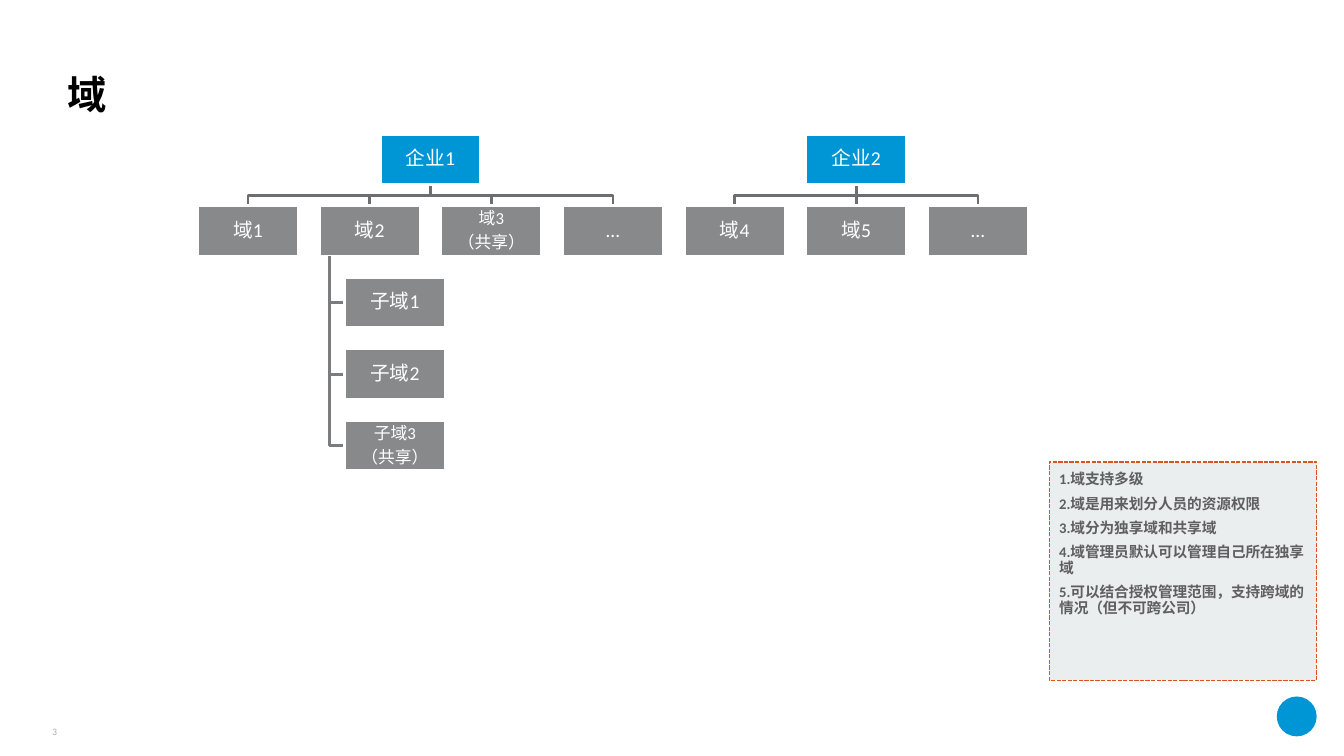
from dataclasses import dataclass, field

from pptx import Presentation
from pptx.dml.color import RGBColor
from pptx.enum.dml import MSO_LINE
from pptx.enum.shapes import MSO_SHAPE as Preset
from pptx.enum.text import MSO_ANCHOR as Anchor, PP_ALIGN as Align
from pptx.util import Pt

COLORS = {
    "blue": "0096D6", "gray": "87898B", "white": "FFFFFF", "black": "000000",
    "branch": "6C6E6F", "sub_branch": "7B7C7E", "note_fill": "EAEEEF",
    "note_line": "D9541E", "note_text": "5F5F5F", "page": "A8B2B2",
}
FONT = "Calibri"
BOX_W, BOX_H = 72, 36
COLUMN_LEFT, COLUMN_STEP = 141.2, 86.9
TOP, ROW_STEP = 96, 51.1
SUB_INDENT, TRUNK_INDENT = 18, 7.2


@dataclass
class Domain:
    lines: list[str]
    subdomains: list["Domain"] = field(default_factory=list)


@dataclass
class Enterprise:
    name: str
    domains: list[Domain]


@dataclass
class TextStyle:
    size: float
    color: str
    bold: bool = False
    align: Align = Align.LEFT
    spacing: float = 0.9
    before: float = 0
    after: float = 0


ENTERPRISES = [
    Enterprise("企业1", [
        Domain(["域1"]),
        Domain(["域2"], [Domain(["子域1"]), Domain(["子域2"]),
                        Domain(["子域3", "（共享）"])]),
        Domain(["域3", "（共享）"]),
        Domain(["…"]),
    ]),
    Enterprise("企业2", [Domain(["域4"]), Domain(["域5"]), Domain(["…"])]),
]
NOTES = [
    "1.域支持多级",
    "2.域是用来划分人员的资源权限",
    "3.域分为独享域和共享域",
    "4.域管理员默认可以管理自己所在独享域",
    "5.可以结合授权管理范围，支持跨域的情况（但不可跨公司）",
]


def rgb(name: str) -> RGBColor:
    return RGBColor.from_string(COLORS[name])


def write(shape, lines: list[str], style: TextStyle, anchor: Anchor,
          inset: float = 0, wrap: bool = True) -> None:
    frame = shape.text_frame
    frame.word_wrap = wrap
    frame.vertical_anchor = anchor
    frame.margin_left = frame.margin_right = Pt(inset)
    frame.margin_top = frame.margin_bottom = Pt(inset)
    frame.text = "\n".join(lines)
    for paragraph in frame.paragraphs:
        paragraph.alignment = style.align
        paragraph.line_spacing = style.spacing
        paragraph.space_before = Pt(style.before)
        paragraph.space_after = Pt(style.after)
        font = paragraph.font
        font.name, font.size, font.bold = FONT, Pt(style.size), style.bold
        font.color.rgb = rgb(style.color)


def add_filled(shapes, preset: Preset, left: float, top: float,
               width: float, height: float, fill: str):
    shape = shapes.add_shape(preset, Pt(left), Pt(top), Pt(width), Pt(height))
    shape.shadow.inherit = False
    shape.fill.solid()
    shape.fill.fore_color.rgb = rgb(fill)
    return shape


def add_box(shapes, left: float, top: float, lines: list[str], fill: str) -> None:
    box = add_filled(shapes, Preset.RECTANGLE, left, top, BOX_W, BOX_H, fill)
    box.line.color.rgb = rgb("white")
    box.line.width = Pt(2)
    size = 14 if len(lines) == 1 else 12
    style = TextStyle(size, "white", align=Align.CENTER, after=0.35 * size)
    write(box, lines, style, Anchor.MIDDLE, inset=0.7)


def add_branch(shapes, points: list[tuple[float, float]], color: str) -> None:
    start, *rest = [(Pt(x), Pt(y)) for x, y in points]
    builder = shapes.build_freeform(*start)
    builder.add_line_segments(rest, close=False)
    branch = builder.convert_to_shape()
    branch.shadow.inherit = False
    branch.fill.background()
    branch.line.color.rgb = rgb(color)
    branch.line.width = Pt(2)


def add_subdomains(shapes, parent: Domain, parent_left: float, parent_top: float) -> None:
    left, trunk = parent_left + SUB_INDENT, parent_left + TRUNK_INDENT
    for row, subdomain in enumerate(parent.subdomains, start=1):
        top = parent_top + row * ROW_STEP
        middle = top + BOX_H / 2
        add_branch(shapes, [(trunk, parent_top + BOX_H), (trunk, middle), (left, middle)],
                   "sub_branch")
        add_box(shapes, left, top, subdomain.lines, "gray")


def add_enterprise(shapes, enterprise: Enterprise, first_column: int) -> None:
    lefts = [COLUMN_LEFT + (first_column + i) * COLUMN_STEP
             for i in range(len(enterprise.domains))]
    root_left = (lefts[0] + lefts[-1]) / 2
    root_center, root_bottom = root_left + BOX_W / 2, TOP + BOX_H
    domain_top = TOP + ROW_STEP
    bend = (root_bottom + domain_top) / 2
    for left in lefts:
        center = left + BOX_W / 2
        points = [(root_center, root_bottom), (root_center, bend),
                  (center, bend), (center, domain_top)]
        add_branch(shapes, points, "branch")
    add_box(shapes, root_left, TOP, [enterprise.name], "blue")
    for left, domain in zip(lefts, enterprise.domains):
        add_box(shapes, left, domain_top, domain.lines, "gray")
        add_subdomains(shapes, domain, left, domain_top)


def main() -> None:
    deck = Presentation()
    deck.slide_width, deck.slide_height = Pt(960), Pt(540)
    shapes = deck.slides.add_slide(deck.slide_layouts[6]).shapes

    # Brand mark placeholder
    mark = add_filled(shapes, Preset.OVAL, 912, 497.5, 28.5, 28.5, "blue")
    mark.line.fill.background()

    # Title
    title = shapes.add_textbox(Pt(48), Pt(24), Pt(864), Pt(60))
    write(title, ["域"], TextStyle(28, "black", bold=True), Anchor.BOTTOM)

    # Domain trees
    column = 0
    for enterprise in ENTERPRISES:
        add_enterprise(shapes, enterprise, column)
        column += len(enterprise.domains)

    # Notes
    notes = add_filled(shapes, Preset.RECTANGLE, 749.5, 330, 191, 156, "note_fill")
    notes.line.color.rgb = rgb("note_line")
    notes.line.width = Pt(1)
    notes.line.dash_style = MSO_LINE.SQUARE_DOT
    write(notes, NOTES, TextStyle(10.5, "note_text", bold=True, before=6),
          Anchor.TOP, inset=7.2)

    # Page number
    page = shapes.add_textbox(Pt(16.8), Pt(510), Pt(24), Pt(17))
    write(page, ["3"], TextStyle(7, "page", align=Align.RIGHT, spacing=1.0),
          Anchor.BOTTOM, wrap=False)

    deck.save("out.pptx")


if __name__ == "__main__":
    main()
